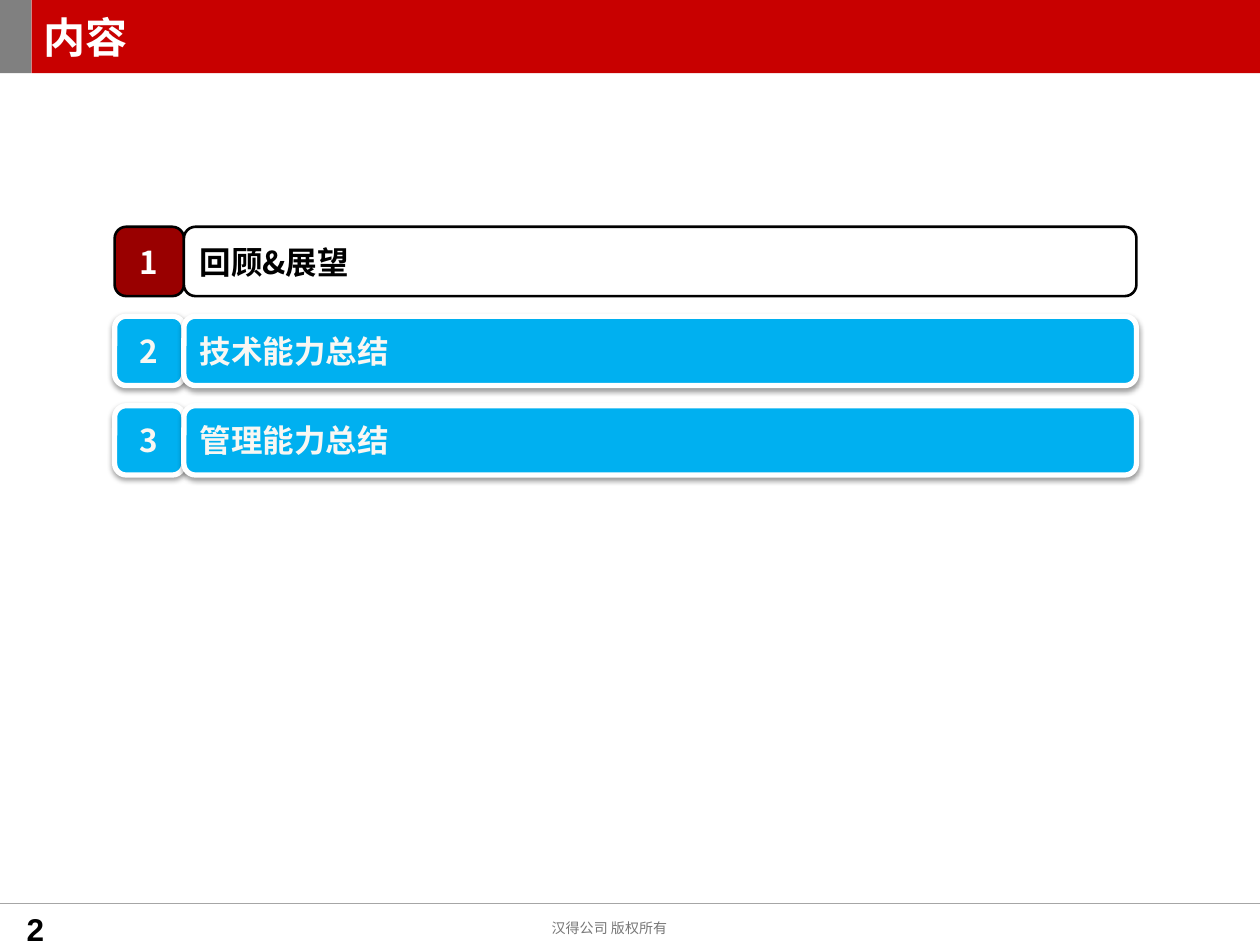
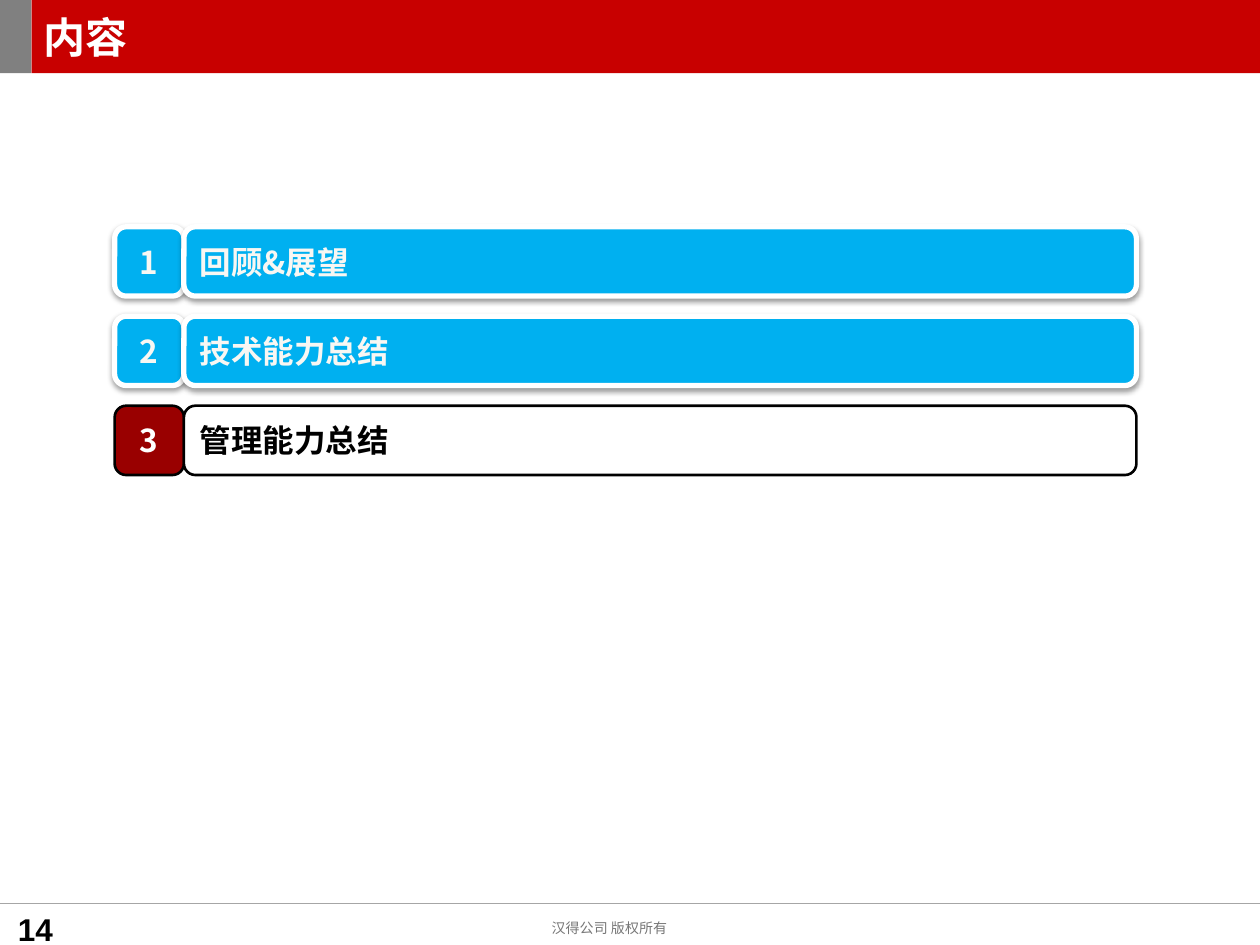
"""Build the two agenda slides, each highlighting its current section."""
from dataclasses import dataclass

import lxml.etree
import pptx
import pptx.dml.color
import pptx.enum.shapes
import pptx.enum.text
import pptx.oxml.ns
import pptx.presentation
import pptx.shapes.autoshape
import pptx.shapes.base
import pptx.slide
import pptx.util

RGBColor = pptx.dml.color.RGBColor
Shapes = pptx.enum.shapes.MSO_SHAPE
Align = pptx.enum.text.PP_ALIGN
Anchor = pptx.enum.text.MSO_ANCHOR
qn = pptx.oxml.ns.qn

EMU_PER_PX = 9144
SLIDE_WIDTH, SLIDE_HEIGHT = 1000, 750

WHITE = RGBColor(0xFF, 0xFF, 0xFF)
BLACK = RGBColor(0x00, 0x00, 0x00)
OFF_WHITE = RGBColor(0xF8, 0xF7, 0xF3)
TITLE_RED = RGBColor(0xC8, 0x00, 0x00)
BAND_GRAY = RGBColor(0x80, 0x80, 0x80)
RULE_GRAY = RGBColor(0xA6, 0xA6, 0xA6)
FOOTER_GRAY = RGBColor(0x77, 0x77, 0x77)
CURRENT_RED = RGBColor(0x99, 0x00, 0x00)
SECTION_BLUE = RGBColor(0x00, 0xB0, 0xF0)

CJK_FONT = "Noto Sans CJK SC"
NUMBER_FONT = "Arial"

TITLE = "内容"
FOOTER = "汉得公司 版权所有"
SECTIONS = ("回顾&展望", "技术能力总结", "管理能力总结")

BAND_WIDTH, TITLE_HEIGHT = 25, 58
RULE_TOP = 717
AGENDA_LEFT, AGENDA_TOP = 91, 180
ROW_HEIGHT, ROW_PITCH = 55, 71
SECTION_WIDTH = 756


@dataclass(frozen=True)
class Box:
    """Position and size in px."""
    left: int
    top: int
    width: int
    height: int

    def emu(self) -> tuple[pptx.util.Emu, ...]:
        """Return left, top, width and height in EMU."""
        return tuple(px(value) for value in (self.left, self.top, self.width, self.height))


@dataclass(frozen=True)
class TextStyle:
    """Look of a one-paragraph text."""
    size: int
    color: RGBColor
    bold: bool = True
    font: str = CJK_FONT
    align: Align = Align.LEFT


@dataclass(frozen=True)
class RowStyle:
    """Look of an agenda row."""
    number_fill: RGBColor
    section_fill: RGBColor
    outline: RGBColor
    outline_width: float
    number_color: RGBColor
    section_color: RGBColor
    shadow: bool


@dataclass(frozen=True)
class AgendaSlide:
    """Page number and index of the highlighted section."""
    page: int
    current: int


CURRENT_ROW = RowStyle(CURRENT_RED, WHITE, BLACK, 1.5, WHITE, BLACK, False)
OTHER_ROW = RowStyle(SECTION_BLUE, SECTION_BLUE, WHITE, 3, OFF_WHITE, OFF_WHITE, True)
AGENDA_SLIDES = (AgendaSlide(page=2, current=0), AgendaSlide(page=14, current=2))


def px(value: int) -> pptx.util.Emu:
    """Turn px into EMU."""
    return pptx.util.Emu(value * EMU_PER_PX)


def write_text(shape: pptx.shapes.autoshape.Shape, text: str, style: TextStyle) -> None:
    """Fill a shape with one styled paragraph."""
    paragraph = shape.text_frame.paragraphs[0]
    paragraph.text = text
    paragraph.alignment = style.align
    font = paragraph.font
    font.size = pptx.util.Pt(style.size)
    font.bold = style.bold
    font.color.rgb = style.color
    font.name = style.font
    properties = paragraph._p.pPr.find(qn("a:defRPr"))
    lxml.etree.SubElement(properties, qn("a:ea"), typeface=style.font)


def add_shadow(shape: pptx.shapes.base.BaseShape) -> None:
    """Give a shape a soft shadow straight below it."""
    effects = shape._element.spPr.find(qn("a:effectLst"))
    shadow = lxml.etree.SubElement(effects, qn("a:outerShdw"), blurRad="40000",
                                   dist="20000", dir="5400000", rotWithShape="0")
    color = lxml.etree.SubElement(shadow, qn("a:srgbClr"), val=str(BLACK))
    lxml.etree.SubElement(color, qn("a:alpha"), val="38000")


def add_filled_shape(slide: pptx.slide.Slide, kind: Shapes, box: Box,
                     fill: RGBColor) -> pptx.shapes.autoshape.Shape:
    """Add a flat shape without outline."""
    shape = slide.shapes.add_shape(kind, *box.emu())
    shape.shadow.inherit = False
    shape.fill.solid()
    shape.fill.fore_color.rgb = fill
    shape.line.fill.background()
    shape.text_frame.vertical_anchor = Anchor.MIDDLE
    return shape


def add_frame(slide: pptx.slide.Slide, page: int) -> None:
    """Add the title bar, footer and page number."""
    add_filled_shape(slide, Shapes.RECTANGLE, Box(0, 0, BAND_WIDTH, TITLE_HEIGHT), BAND_GRAY)

    rule = slide.shapes.add_connector(pptx.enum.shapes.MSO_CONNECTOR.STRAIGHT, 0, px(RULE_TOP),
                                      px(SLIDE_WIDTH), px(RULE_TOP))
    rule.line.color.rgb = RULE_GRAY
    rule.line.width = pptx.util.Pt(0.75)
    lxml.etree.SubElement(rule._element.spPr, qn("a:effectLst"))

    footer = slide.shapes.add_textbox(*Box(428, 725, 121, 24).emu())
    footer.text_frame.word_wrap = False
    footer.text_frame.auto_size = pptx.enum.text.MSO_AUTO_SIZE.SHAPE_TO_FIT_TEXT
    write_text(footer, FOOTER, TextStyle(8, FOOTER_GRAY, bold=False))

    title_box = Box(BAND_WIDTH, 0, SLIDE_WIDTH - BAND_WIDTH, TITLE_HEIGHT)
    title = add_filled_shape(slide, Shapes.RECTANGLE, title_box, TITLE_RED)
    write_text(title, TITLE, TextStyle(24, WHITE))

    number = slide.shapes.add_textbox(*Box(4, RULE_TOP, 58, 33).emu())
    number.text_frame.word_wrap = True
    number.text_frame.margin_left = number.text_frame.margin_bottom = 0
    write_text(number, str(page), TextStyle(18, BLACK, font=NUMBER_FONT, align=Align.CENTER))


def add_row(slide: pptx.slide.Slide, index: int, section: str, style: RowStyle) -> None:
    """Add the number tile and section bar of one agenda row."""
    top = AGENDA_TOP + index * ROW_PITCH
    tile = Box(AGENDA_LEFT, top, ROW_HEIGHT, ROW_HEIGHT)
    bar = Box(AGENDA_LEFT + ROW_HEIGHT, top, SECTION_WIDTH, ROW_HEIGHT)
    parts = (
        (tile, style.number_fill, str(index + 1),
         TextStyle(18, style.number_color, align=Align.CENTER)),
        (bar, style.section_fill, section, TextStyle(18, style.section_color)),
    )
    for box, fill, text, text_style in parts:
        shape = add_filled_shape(slide, Shapes.ROUNDED_RECTANGLE, box, fill)
        shape.line.color.rgb = style.outline
        shape.line.width = pptx.util.Pt(style.outline_width)
        if style.shadow:
            add_shadow(shape)
        write_text(shape, text, text_style)


def add_agenda_slide(presentation: pptx.presentation.Presentation, agenda: AgendaSlide) -> None:
    """Add one agenda slide with its current section highlighted."""
    slide = presentation.slides.add_slide(presentation.slide_layouts[6])
    add_frame(slide, agenda.page)
    for index, section in enumerate(SECTIONS):
        add_row(slide, index, section, CURRENT_ROW if index == agenda.current else OTHER_ROW)


def main() -> None:
    """Build and save the presentation."""
    presentation = pptx.Presentation()
    presentation.slide_width = px(SLIDE_WIDTH)
    presentation.slide_height = px(SLIDE_HEIGHT)
    for agenda in AGENDA_SLIDES:
        add_agenda_slide(presentation, agenda)
    presentation.save("out.pptx")


if __name__ == "__main__":
    main()
